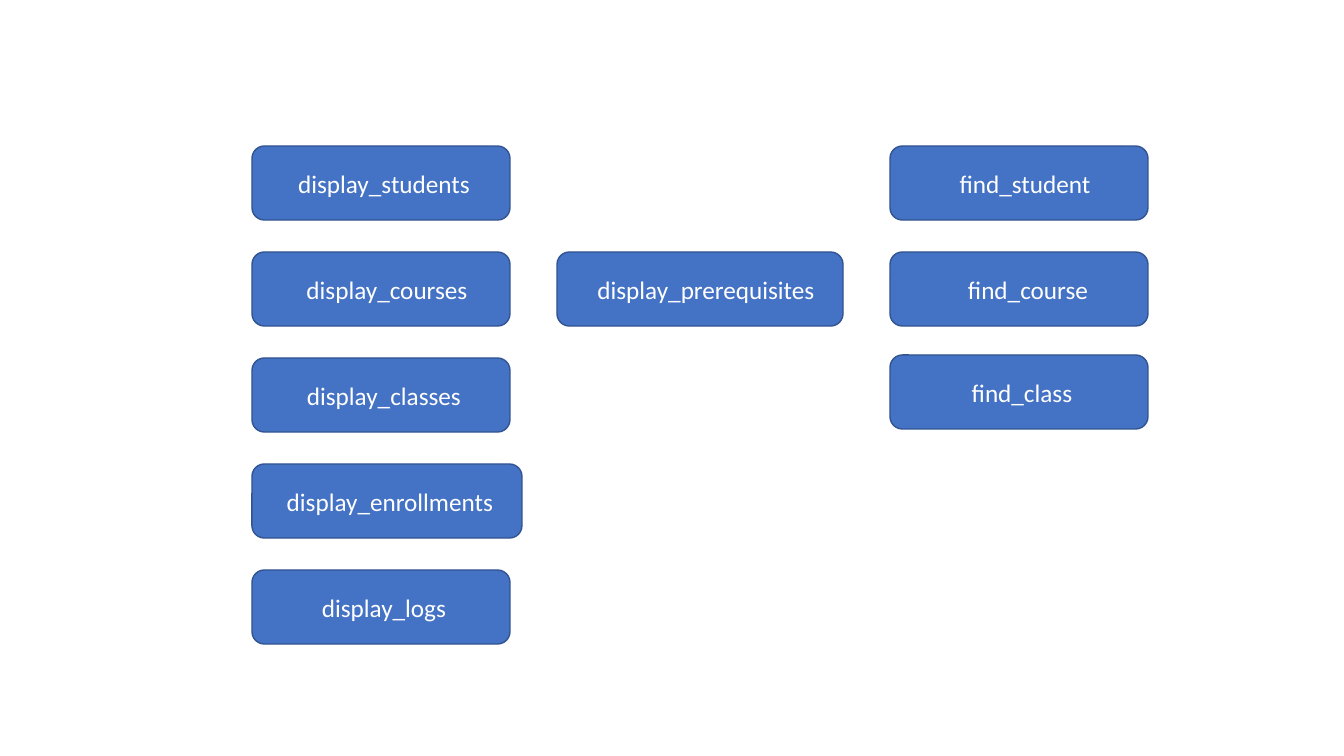
from pptx import Presentation
from pptx.dml.color import RGBColor
from pptx.enum.shapes import MSO_SHAPE
from pptx.enum.text import MSO_ANCHOR, PP_ALIGN
from pptx.util import Pt

ROUNDED = MSO_SHAPE.ROUNDED_RECTANGLE
MIDDLE = MSO_ANCHOR.MIDDLE
CENTER = PP_ALIGN.CENTER
BLUE = RGBColor(0x44, 0x72, 0xC4)
NAVY = RGBColor(0x32, 0x54, 0x91)
WHITE = RGBColor(0xFF, 0xFF, 0xFF)
FONT = {"name": "Calibri", "size": Pt(18)}


def px(n):
    return round(n * 914400 / 100.8)


prs = Presentation()
prs.slide_width, prs.slide_height = px(1344), px(756)
s = prs.slides.add_slide(prs.slide_layouts[6])

TOP, PITCH, HEIGHT, WIDTH = 146, 106, 74, 258
DISPLAY_X, PREREQ_X, FIND_X = 252, 557, 890
INSET, INDENT = 10, 6

functions = [
    ("display_students", DISPLAY_X, TOP, WIDTH, 1),
    ("display_courses", DISPLAY_X, TOP + PITCH, WIDTH, 2),
    ("display_prerequisites", PREREQ_X, TOP + PITCH, 286, 2),
    ("display_classes", DISPLAY_X, TOP + 2 * PITCH, WIDTH, 1),
    ("display_enrollments", DISPLAY_X, TOP + 3 * PITCH, 270, 1),
    ("display_logs", DISPLAY_X, TOP + 4 * PITCH, WIDTH, 1),
    ("find_student", FIND_X, TOP, WIDTH, 2),
    ("find_course", FIND_X, TOP + PITCH, WIDTH, 3),
    ("find_class", FIND_X, TOP + 2 * PITCH - 3, WIDTH, 1),
]

for name, x, y, width, indents in functions:
    sp = s.shapes.add_shape(ROUNDED, px(x), px(y), px(width), px(HEIGHT))
    sp.shadow.inherit = False
    sp.fill.solid()
    sp.fill.fore_color.rgb = BLUE
    sp.line.color.rgb = NAVY
    sp.line.width = Pt(1)
    tf = sp.text_frame
    tf.word_wrap = True
    tf.vertical_anchor = MIDDLE
    tf.margin_left = px(INSET + indents * INDENT)
    tf.margin_right = px(INSET)
    p = tf.paragraphs[0]
    p.alignment = CENTER
    r = p.add_run()
    r.text = name
    for key, value in FONT.items():
        setattr(r.font, key, value)
    r.font.color.rgb = WHITE

prs.save("out.pptx")
